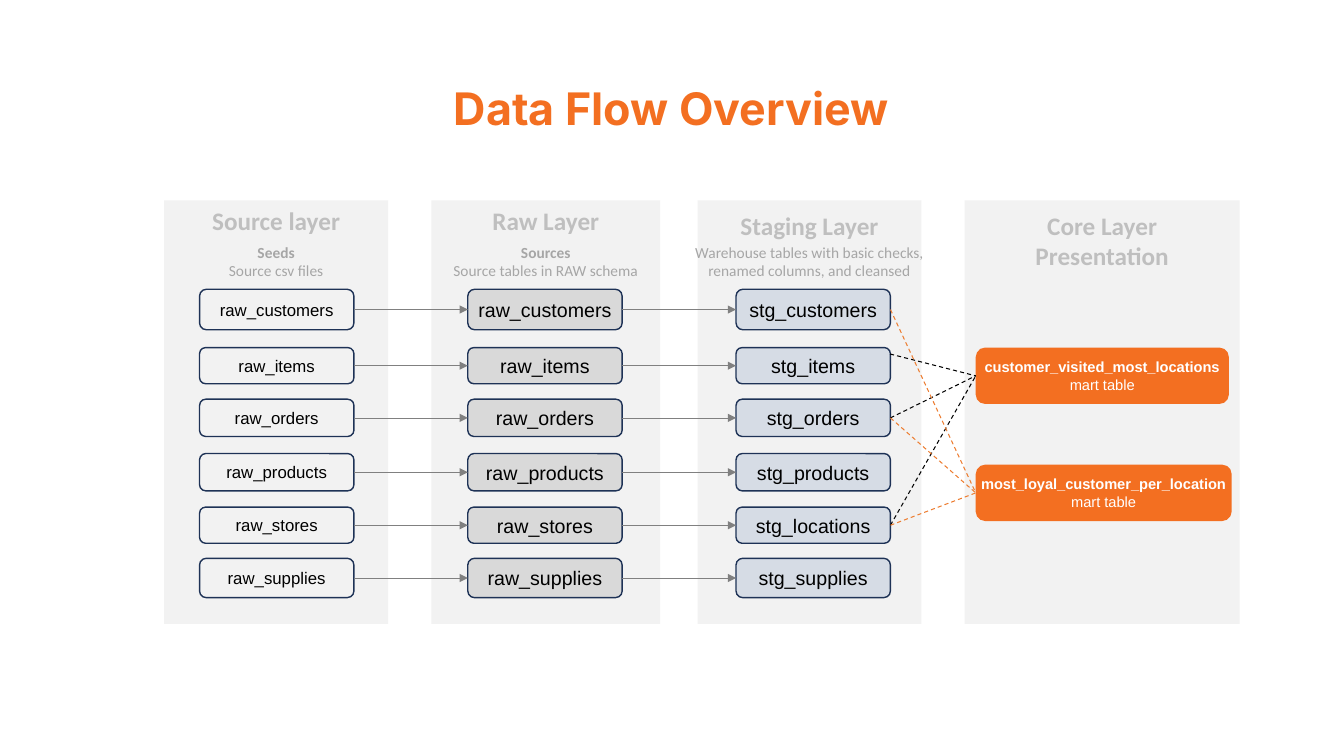
"""Build the Data Flow Overview slide."""
from lxml.etree import SubElement
from pptx import Presentation
from pptx.dml.color import RGBColor as RGB
from pptx.enum.dml import MSO_LINE as Dash
from pptx.enum.shapes import MSO_CONNECTOR as Link, MSO_SHAPE as Form
from pptx.enum.text import MSO_ANCHOR as Anchor, PP_ALIGN as Align
from pptx.oxml.ns import qn
from pptx.util import Cm, Pt

HUES = {
    "panel": "F2F2F2", "raw": "D9D9D9", "stage": "D6DCE5", "edge": "1E3256",
    "brand": "F36F21", "head": "BFBFBF", "note": "A6A6A6", "arrow": "808080",
    "flow": "ED7D31", "black": "000000", "white": "FFFFFF",
}
HUES = {name: RGB.from_string(code) for name, code in HUES.items()}

deck = Presentation()
deck.slide_width, deck.slide_height = Cm(33.87), Cm(19.05)
slide = deck.slides.add_slide(deck.slide_layouts[6])
shapes = slide.shapes


def write(shape, lines, size, font, hue, bold=0, anchor=Anchor.MIDDLE):
    """Fill a shape with centred lines, the first `bold` of them bold."""
    frame = shape.text_frame
    frame.text = "\n".join(lines)
    frame.word_wrap = False
    frame.vertical_anchor = anchor
    frame.margin_left = frame.margin_right = 0
    for i, para in enumerate(frame.paragraphs):
        para.alignment = Align.CENTER
        for run in para.runs:
            run.font.size, run.font.name = Pt(size), font
            run.font.bold = i < bold
            run.font.color.rgb = HUES[hue]


def block(form, left, top, width, height, fill=None, edge=None):
    """Add a flat shape with an optional fill and outline."""
    shape = shapes.add_shape(form, Cm(left), Cm(top), Cm(width), Cm(height))
    shape.shadow.inherit = False
    if fill:
        shape.fill.solid()
        shape.fill.fore_color.rgb = HUES[fill]
    else:
        shape.fill.background()
    if edge:
        shape.line.color.rgb = HUES[edge]
        shape.line.width = Pt(1)
    else:
        shape.line.fill.background()
    return shape


title = shapes.add_textbox(Cm(9.42), Cm(2.06), Cm(15.01), Cm(1.63))
write(title, ["Data Flow Overview"], 32, "Inter", "brand", 1, Anchor.TOP)
title.text_frame.paragraphs[0].line_spacing = 0.9

layers = [
    (4.14, 5.64, 5.05, ["Source layer"], ["Seeds", "Source csv files"], 1),
    (10.87, 5.77, 5.05, ["Raw Layer"],
     ["Sources", "Source tables in RAW schema"], 1),
    (17.58, 5.64, 5.18, ["Staging Layer"],
     ["Warehouse tables with basic checks,", "renamed columns, and cleansed"], 0),
    (24.31, 6.93, 5.18, ["Core Layer", "Presentation"], [], 0),
]
for left, width, top, head, note, bold in layers:
    block(Form.RECTANGLE, left, 5.05, width, 10.67, "panel")
    box = shapes.add_textbox(Cm(left), Cm(top), Cm(width), Cm(1.02 * len(head)))
    write(box, head, 18, "Calibri", "head", len(head), Anchor.TOP)
    if note:
        box = shapes.add_textbox(Cm(left - 0.4), Cm(6), Cm(width + 0.8), Cm(1.19))
        write(box, note, 11, "Calibri", "note", bold, Anchor.TOP)

rows = [
    ("customers", 7.29, 1.02), ("items", 8.76, 0.91), ("orders", 10.06, 0.94),
    ("products", 11.43, 0.94), ("stores", 12.78, 0.91), ("supplies", 14.07, 0.99),
]
steps = [("raw", None, 12), ("raw", "raw", 14), ("stg", "stage", 14)]
links = []
stage = {}
for name, top, height in rows:
    last = None
    for col, (prefix, fill, size) in enumerate(steps):
        box = block(Form.ROUNDED_RECTANGLE, 5.03 + 6.76 * col, top, 3.89, height,
                    fill, "edge")
        label = "locations" if (prefix, name) == ("stg", "stores") else name
        write(box, [f"{prefix}_{label}"], size, "Arial", "black")
        if last:
            links.append((last, box, "arrow", 0.5))
        last = box
    stage[name] = last

marts = [
    ("customer_visited_most_locations", 8.76, 6.38, "black",
     ["items", "orders", "stores"]),
    ("most_loyal_customer_per_location", 11.71, 6.45, "flow",
     ["customers", "orders", "stores"]),
]
for name, top, width, hue, feeds in marts:
    mart = block(Form.ROUNDED_RECTANGLE, 24.59, top, width, 1.42, "brand")
    write(mart, [name, "mart table"], 10.5, "Arial", "white", 1)
    links += [(stage[feed], mart, hue, 0.75) for feed in feeds]

for start, end, hue, width in links:
    line = shapes.add_connector(Link.STRAIGHT, Cm(22.43), Cm(8.92), 0, 0)
    if start is not stage["items"]:
        line.begin_connect(start, 3)
    line.end_connect(end, 1)
    line.line.color.rgb = HUES[hue]
    line.line.width = Pt(width)
    props = line._element.spPr
    if hue == "arrow":
        SubElement(props.get_or_add_ln(), qn("a:tailEnd"), type="triangle")
    else:
        line.line.dash_style = Dash.DASH
    SubElement(props, qn("a:effectLst"))

deck.save("out.pptx")
